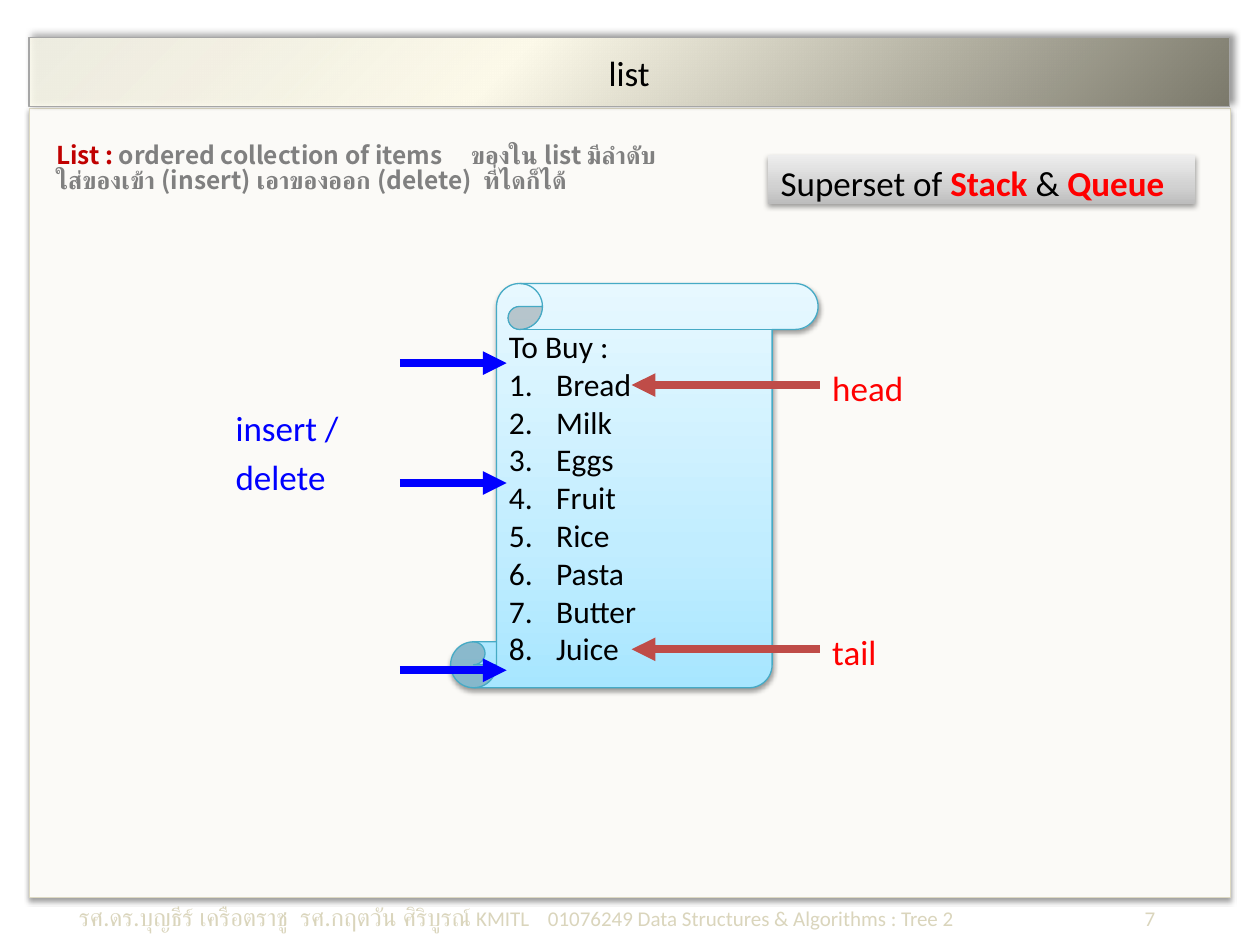
import pptx
import pptx.util
import pptx.dml.color
import pptx.enum.shapes
import pptx.enum.text
import pptx.oxml
import pptx.oxml.ns
from dataclasses import dataclass

Pt = pptx.util.Pt
Shape = pptx.enum.shapes.MSO_SHAPE
NS = pptx.oxml.ns.nsdecls("a")


@dataclass(frozen=True)
class Theme:
    """Colours, fonts and type sizes."""
    font: str = "Calibri"
    thai: str = "Noto Sans CJK JP"
    ink: str = "000000"
    red: str = "FF0000"
    blue: str = "0000FF"
    rust: str = "BF4C48"
    wine: str = "C00000"
    gray: str = "808080"
    sand: str = "DAD5BC"
    paper: str = "FBFAF7"
    edge: str = "DDD9C3"
    rim: str = "A6A6A6"
    teal: str = "46AAC5"
    bar: tuple = ((0, "FEFCEE", 79), (40, "FDFAEA", 100), (100, "7B796B", 100))
    sky: tuple = ((0, "A7E6FF", 100), (35, "C1EDFF", 100), (100, "E7F8FF", 100))
    steel: tuple = ((0, "BDBDBD", 100), (35, "D1D1D1", 100), (100, "EEEEEE", 100))
    soft: tuple = (38, 3.1, 1.6, 90)
    lift: tuple = (40, 4, 3, 315)
    big: int = 20
    mid: int = 18
    small: int = 14
    tiny: int = 12


T = Theme()


def rgb(hue):
    """Turn a hex string into a colour."""
    return pptx.dml.color.RGBColor.from_string(hue)


def xml(text):
    """Parse one drawing element."""
    return pptx.oxml.parse_xml(text)


def panel(slide, box, fill, line, kind=Shape.RECTANGLE, angle=270, shade=T.soft):
    """Draw a shadowed shape with a plain or graded fill."""
    shape = slide.shapes.add_shape(kind, *map(Pt, box))
    if isinstance(fill, str):
        shape.fill.solid()
        shape.fill.fore_color.rgb = rgb(fill)
    else:
        stops = "".join(
            f'<a:gs pos="{pos * 1000}"><a:srgbClr val="{hue}">'
            f'<a:alpha val="{alpha * 1000}"/></a:srgbClr></a:gs>'
            for pos, hue, alpha in fill)
        grad = xml(f'<a:gradFill {NS} rotWithShape="1"><a:gsLst>{stops}</a:gsLst>'
                   f'<a:lin ang="{angle * 60000}" scaled="0"/></a:gradFill>')
        shape._element.spPr.insert(2, grad)
    if line:
        shape.line.color.rgb = rgb(line)
        shape.line.width = Pt(0.75)
    else:
        shape.line.fill.background()
    shape.shadow.inherit = False
    alpha, blur, dist, turn = shade
    glow = shape._element.spPr.find(pptx.oxml.ns.qn("a:effectLst"))
    glow.append(xml(
        f'<a:outerShdw {NS} blurRad="{Pt(blur)}" dist="{Pt(dist)}" '
        f'dir="{turn * 60000}" rotWithShape="0"><a:srgbClr val="{T.ink}">'
        f'<a:alpha val="{alpha * 1000}"/></a:srgbClr></a:outerShdw>'))
    return shape


def label(slide, box, wrap=True):
    """Add an empty text box and return its frame."""
    frame = slide.shapes.add_textbox(*map(Pt, box)).text_frame
    frame.word_wrap = wrap
    return frame


def write(para, *runs, size=T.big, font=T.font, align="LEFT"):
    """Add runs of text, colour and weight to a paragraph."""
    para.alignment = getattr(pptx.enum.text.PP_ALIGN, align)
    for text, hue, bold in runs:
        run = para.add_run()
        run.text = text
        run.font.name = font
        run.font.size = Pt(size)
        run.font.bold = bold
        run.font.color.rgb = rgb(hue)


def tabs(para, *stops):
    """Set the tab stops of a paragraph."""
    marks = "".join(f'<a:tab pos="{Pt(pos)}" algn="{side}"/>' for pos, side in stops)
    para._p.get_or_add_pPr().append(xml(f"<a:tabLst {NS}>{marks}</a:tabLst>"))


def arrow(slide, start, end, y, hue):
    """Draw a thick level arrow."""
    line = slide.shapes.add_connector(
        pptx.enum.shapes.MSO_CONNECTOR.STRAIGHT, Pt(start), Pt(y), Pt(end), Pt(y))
    line.line.color.rgb = rgb(hue)
    line.line.width = Pt(4.5)
    line.line._get_or_add_ln().append(xml(f'<a:tailEnd {NS} type="triangle"/>'))
    line._element.spPr.append(xml(f"<a:effectLst {NS}/>"))


def footer(slide, box):
    """Write the authors, course and page number."""
    para = label(slide, box).paragraphs[0]
    tabs(para, (227, "l"), (268, "l"), (615, "r"))
    write(para, ("รศ.ดร.บุญธีร์ เครือตราชู  รศ.กฤตวัน ศิริบูรณ์", T.sand, False), size=T.small)
    write(para, ("\tKMITL\t01076249 Data Structures & Algorithms : Tree 2", T.sand, False),
          ("\t7", T.sand, False), size=T.tiny)


def title(slide, box):
    """Draw the title bar."""
    frame = panel(slide, box, T.bar, T.rim, angle=45, shade=T.lift).text_frame
    frame.vertical_anchor = pptx.enum.text.MSO_ANCHOR.MIDDLE
    write(frame.paragraphs[0], ("list", T.ink, False), align="CENTER")


def scroll(slide, box):
    """Draw the shopping list on its scroll."""
    frame = panel(slide, box, T.sky, T.teal, Shape.VERTICAL_SCROLL).text_frame
    frame.vertical_anchor = pptx.enum.text.MSO_ANCHOR.MIDDLE
    write(frame.paragraphs[0], ("To Buy :", T.ink, False), size=T.mid)
    for item in "Bread Milk Eggs Fruit Rice Pasta Butter Juice".split():
        para = frame.add_paragraph()
        props = para._p.get_or_add_pPr()
        props.set("marL", str(Pt(27)))
        props.set("indent", str(Pt(-27)))
        props.append(xml(f'<a:buFont {NS} typeface="+mj-lt"/>'))
        props.append(xml(f'<a:buAutoNum {NS} type="arabicPeriod"/>'))
        write(para, (item, T.ink, False), size=T.mid)


def badge(slide, box):
    """Draw the note on stack and queue."""
    frame = panel(slide, box, T.steel, None).text_frame
    frame.vertical_anchor = pptx.enum.text.MSO_ANCHOR.TOP
    frame.word_wrap = False
    write(frame.paragraphs[0], ("Superset of ", T.ink, False), ("Stack", T.red, True),
          (" & ", T.ink, False), ("Queue", T.red, True))


def ends(slide, box):
    """Mark the head and tail of the list."""
    left, top, width, height = box
    for name, y in (("head", top), ("tail", top + height)):
        arrow(slide, left + width, left, y, T.rust)
        write(label(slide, (left + width, y - 14, 55, 26), False).paragraphs[0],
              (name, T.red, False))


def edits(slide, box):
    """Mark the places to insert or delete."""
    left, top, width, height = box
    for y in (top, top + 68.5, top + height):
        arrow(slide, left + width - 61, left + width, y, T.blue)
    frame = label(slide, (left, top + 21.5, 98, 55))
    write(frame.paragraphs[0], ("insert /", T.blue, False))
    para = frame.add_paragraph()
    para.space_before = Pt(4)
    write(para, ("delete", T.blue, False))


def intro(slide, box):
    """Write the meaning of a list."""
    frame = label(slide, box)
    first, last = frame.paragraphs[0], frame.add_paragraph()
    tabs(first, (237, "l"))
    for para in (first, last):
        para.line_spacing = 0.85
    write(first, ("List : ", T.wine, True),
          ("ordered collection of items\tของใน list มีลำดับ", T.gray, True),
          size=T.small, font=T.thai)
    write(last, ("ใส่ของเข้า (insert) เอาของออก (delete)  ที่ไดก็ได้", T.gray, True),
          size=T.small, font=T.thai)


def main():
    """Build and save the slide."""
    deck = pptx.Presentation()
    deck.slide_width, deck.slide_height = Pt(720), Pt(540)
    slide = deck.slides.add_slide(deck.slide_layouts[6])
    panel(slide, (17, 62, 686, 451), T.paper, T.edge)
    footer(slide, (38, 512, 647, 27))
    title(slide, (16.5, 21.5, 686, 39.5))
    scroll(slide, (257.5, 162, 210, 231))
    badge(slide, (439, 88.5, 244, 28))
    ends(slide, (361, 220, 107.5, 151))
    edits(slide, (127.5, 207.5, 162, 175.5))
    intro(slide, (25, 79, 414, 55))
    deck.save("out.pptx")


if __name__ == "__main__":
    main()
